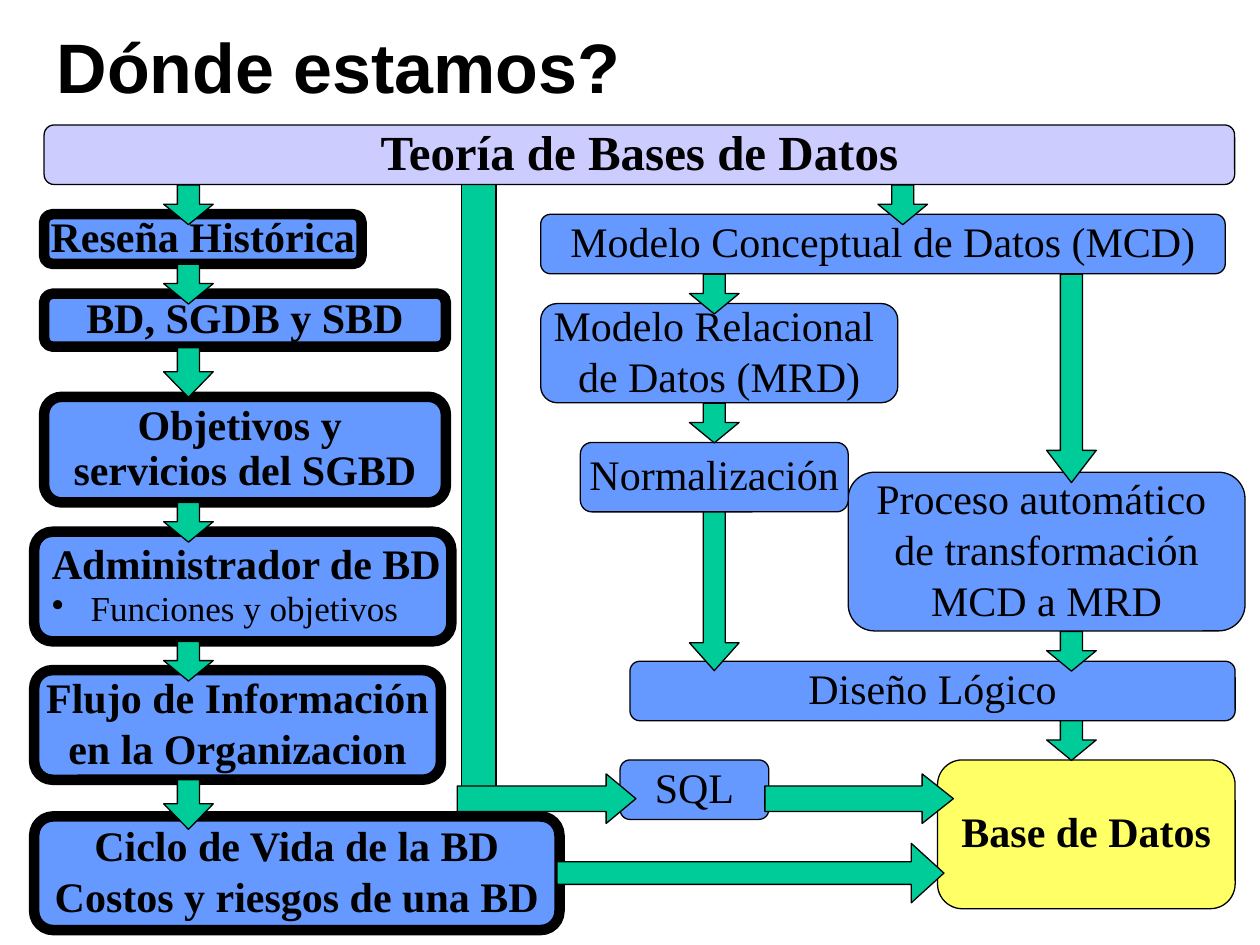
from pptx import Presentation
from pptx.dml.color import RGBColor
from pptx.enum.shapes import MSO_SHAPE
from pptx.enum.text import MSO_ANCHOR, MSO_AUTO_SIZE, PP_ALIGN
from pptx.oxml.ns import qn
from pptx.util import Cm, Pt
from lxml.etree import SubElement

COLORS = {
    "black": "000000",
    "topic": "6699FF",
    "theory": "CCCCFF",
    "goal": "FFFF66",
    "arrow": "00CC99",
}
THIN, THICK = 0.75, 6


class DiagramSlide:
    """Holds the diagram style and the slide being filled."""

    title_font = "Arial"
    body_font = "Times New Roman"

    def __init__(self, presentation):
        self.slide = presentation.slides.add_slide(presentation.slide_layouts[5])

    def color(self, name):
        return RGBColor.from_string(COLORS[name])

    def run(self, paragraph, text, size, bold, font_name):
        run = paragraph.add_run()
        run.text = text
        run.font.name = font_name
        run.font.size = Pt(size)
        run.font.bold = bold
        run.font.color.rgb = self.color("black")

    def title(self, text, left, top, width, height):
        shape = self.slide.shapes.title
        shape.left, shape.top = Cm(left), Cm(top)
        shape.width, shape.height = Cm(width), Cm(height)
        frame = shape.text_frame
        frame.auto_size = MSO_AUTO_SIZE.NONE
        frame.vertical_anchor = MSO_ANCHOR.MIDDLE
        paragraph = frame.paragraphs[0]
        paragraph.alignment = PP_ALIGN.LEFT
        paragraph.line_spacing = 0.92
        self.run(paragraph, text, 40, True, self.title_font)

    def shape(self, kind, left, top, width, height, fill, line=THIN):
        shape = self.slide.shapes.add_shape(
            kind, Cm(left), Cm(top), Cm(width), Cm(height))
        shape.shadow.inherit = False
        shape.fill.solid()
        shape.fill.fore_color.rgb = self.color(fill)
        shape.line.color.rgb = self.color("black")
        shape.line.width = Pt(line)
        return shape

    def box(self, lines, left, top, width, height, fill="topic", line=THIN,
            bold=False, size=24, spacing=1.0, align=PP_ALIGN.CENTER):
        """Rounded box; spacing applies to the lines after the first."""
        shape = self.shape(MSO_SHAPE.ROUNDED_RECTANGLE,
                           left, top, width, height, fill, line)
        frame = shape.text_frame
        frame.word_wrap = False
        frame.vertical_anchor = MSO_ANCHOR.MIDDLE
        frame.margin_top = frame.margin_bottom = 0
        for index, text in enumerate(lines):
            paragraph = frame.paragraphs[0] if index == 0 else frame.add_paragraph()
            paragraph.alignment = align
            paragraph.line_spacing = spacing if index else 0.9
            self.run(paragraph, text, size, bold, self.body_font)
        return frame

    def bullet(self, frame, text, size):
        paragraph = frame.add_paragraph()
        properties = paragraph._p.get_or_add_pPr()
        properties.set("marL", str(Cm(0.78)))
        properties.set("indent", str(-Cm(0.78)))
        SubElement(properties, qn("a:buChar")).set("char", "•")
        paragraph.alignment = PP_ALIGN.LEFT
        paragraph.line_spacing = 0.98
        self.run(paragraph, text, size, False, self.body_font)

    def down_arrow(self, left, top, length, width=1, shaft=0.445, head=0.515):
        shape = self.shape(MSO_SHAPE.DOWN_ARROW, left, top, width, length, "arrow")
        shape.adjustments[0] = shaft
        shape.adjustments[1] = head
        return shape

    def right_arrow(self, left, middle, length, width, shaft, head):
        """Down arrow turned to point right, placed by its visible start."""
        shape = self.down_arrow(left + (length - width) / 2, middle - length / 2,
                                length, width, shaft, head)
        shape.rotation = 270


def main():
    presentation = Presentation()
    presentation.slide_width, presentation.slide_height = Cm(25.4), Cm(19.05)
    diagram = DiagramSlide(presentation)
    diagram.title("Dónde estamos?", 0.89, 0.46, 23.8, 1.93)

    # Left column: topics with a thick outline
    covered = {"line": THICK, "bold": True}
    diagram.box(["Reseña Histórica"], 0.89, 4.32, 6.4, 1, **covered)
    diagram.box(["BD, SGDB y SBD"], 0.89, 5.92, 8.1, 1.07, **covered)
    diagram.box(["Objetivos y ", "servicios del SGBD"],
                0.89, 8, 8.1, 2.13, spacing=0.9, **covered)
    administrator = diagram.box(["Administrador de BD"], 0.69, 10.72, 8.41, 2.21,
                                align=PP_ALIGN.LEFT, **covered)
    diagram.bullet(administrator, "Funciones y objetivos", 20)
    diagram.box(["Flujo de Información", "en la Organizacion"],
                0.69, 13.51, 8.2, 2.21, **covered)
    diagram.box(["Ciclo de Vida de la BD", "Costos y riesgos de una BD"],
                0.69, 16.46, 10.59, 2.29, **covered)

    # Right side: models, design and result
    diagram.box(["Proceso automático ", "de transformación", "MCD a MRD"],
                17.1, 9.52, 8, 3.2)
    diagram.box(["Modelo Conceptual de Datos (MCD)"], 10.9, 4.32, 13.8, 1.2)
    diagram.box(["Modelo Relacional ", "de Datos (MRD)"], 10.9, 6.12, 7.2, 2)
    diagram.box(["Normalización"], 11.7, 8.92, 5.4, 1.4)
    diagram.box(["Diseño Lógico"], 12.7, 13.33, 12.2, 1.2)
    diagram.box(["SQL"], 12.5, 15.32, 3, 1.2)
    diagram.box(["Base de Datos"], 18.9, 15.32, 6, 3, fill="goal", bold=True)

    # Short down arrows, by column
    arrow_columns = {
        3.3: [(3.73, 0.8), (5.33, 0.8), (7.01, 1), (10.13, 0.8),
              (12.93, 0.8), (15.72, 1)],
        13.9: [(5.53, 0.8), (8.13, 0.8)],
        17.7: [(3.73, 0.8)],
        21.1: [(12.73, 0.8), (14.53, 0.8)],
    }
    for left, arrows in arrow_columns.items():
        for top, length in arrows:
            diagram.down_arrow(left, top, length)

    # Long down arrows
    diagram.down_arrow(13.9, 10.32, 3.2, head=0.56)
    diagram.down_arrow(21.1, 5.53, 4.2, head=0.65)

    # Trunk to SQL and arrows to the database
    diagram.shape(MSO_SHAPE.RECTANGLE, 9.3, 3.5, 0.7, 12.78, "arrow")
    diagram.right_arrow(9.22, 16.1, 3.6, 1, 0.515, 0.6)
    diagram.right_arrow(15.42, 16.1, 3.8, 1, 0.515, 0.63)
    diagram.right_arrow(11.23, 17.6, 7.8, 1.2, 0.38, 0.55)

    # Theory bar over the top of the trunk
    diagram.box(["Teoría de Bases de Datos"], 0.89, 2.52, 24, 1.2,
                fill="theory", bold=True, size=28)

    presentation.save("out.pptx")


if __name__ == "__main__":
    main()
